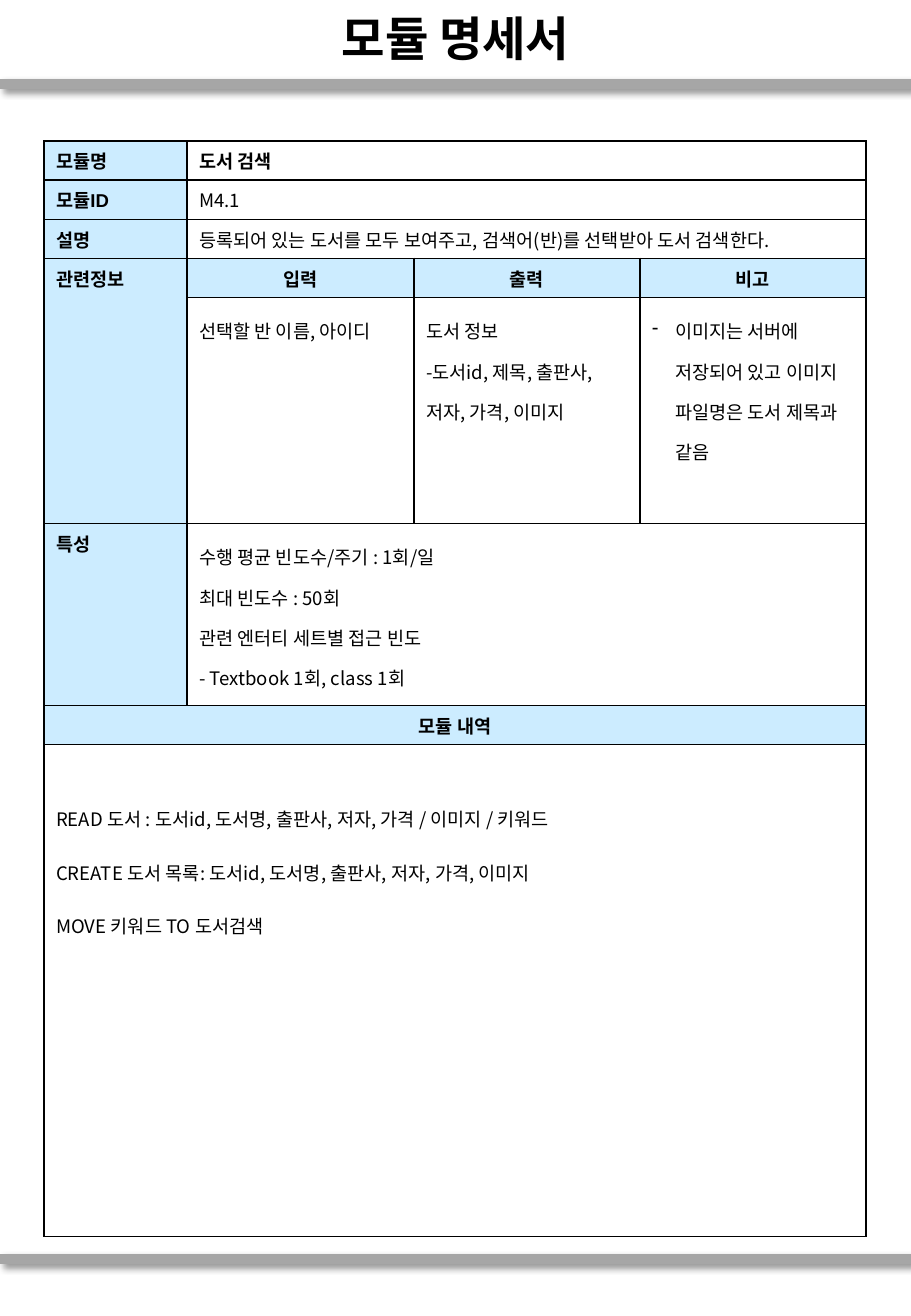
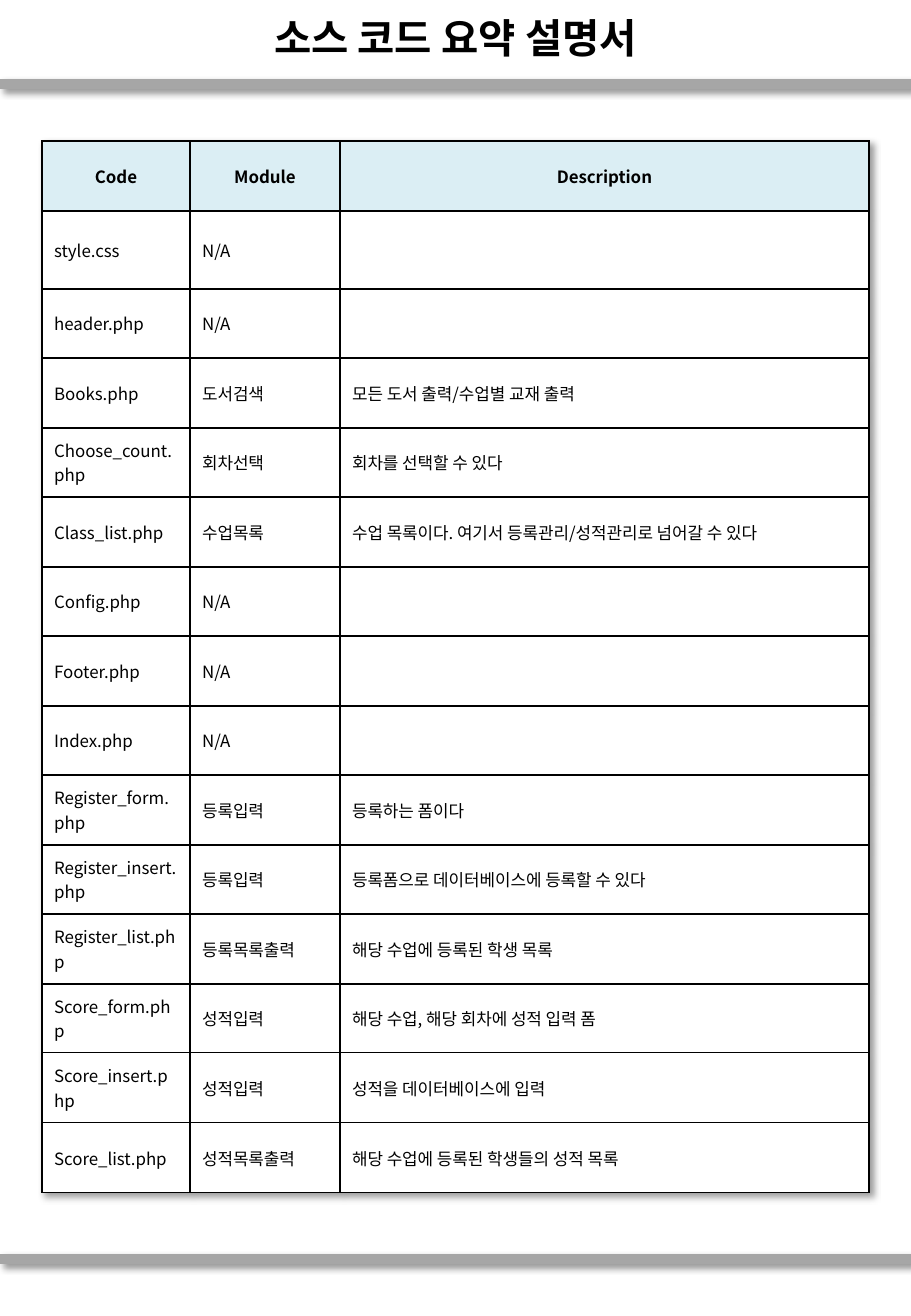
from dataclasses import dataclass

from lxml.etree import SubElement
from pptx import Presentation
from pptx.dml.color import RGBColor
from pptx.enum.shapes import MSO_CONNECTOR
from pptx.enum.text import MSO_ANCHOR, MSO_AUTO_SIZE, PP_ALIGN
from pptx.oxml.ns import qn
from pptx.util import Emu, Pt

PX_PER_INCH = 121.5
WIDTH, HEIGHT = 911, 1316


@dataclass(frozen=True)
class Theme:
    """Colours, fonts and type sizes of the documents."""
    ink: str = "000000"
    paper: str = "FFFFFF"
    band: str = "A6A6A6"
    label: str = "CCECFF"
    header: str = "DBEEF4"
    sans: str = "Arial"
    korean: str = "Noto Sans CJK KR"
    sheet_size: int = 11
    list_size: int = 10
    band_width: int = 6
    border_width: int = 1


THEME = Theme()

# row, column, rows spanned, columns spanned, text
LABELS = [
    (0, 0, 1, 1, "모듈명"),
    (1, 0, 1, 1, "모듈ID"),
    (2, 0, 1, 1, "설명"),
    (3, 0, 2, 1, "관련정보"),
    (5, 0, 1, 1, "특성"),
]
HEADINGS = [
    (3, 1, 1, 1, "입력"),
    (3, 2, 1, 1, "출력"),
    (3, 3, 1, 1, "비고"),
    (6, 0, 1, 4, "모듈 내역"),
]
NAME = [(0, 1, 1, 3, "도서 검색")]
FACTS = [
    (1, 1, 1, 3, "M4.1"),
    (2, 1, 1, 3, "등록되어 있는 도서를 모두 보여주고, 검색어(반)를 선택받아 도서 검색한다."),
]
DETAILS = [
    (4, 1, 1, 1, "선택할 반 이름, 아이디"),
    (4, 2, 1, 1, "도서 정보\n-도서id, 제목, 출판사, 저자, 가격, 이미지"),
    (5, 1, 1, 3, "수행 평균 빈도수/주기 : 1회/일\n최대 빈도수 : 50회\n"
                 "관련 엔터티 세트별 접근 빈도\n- Textbook 1회, class 1회"),
]
REMARKS = [(4, 3, 1, 1, "이미지는 서버에 저장되어 있고 이미지 파일명은 도서 제목과 같음")]
STEPS = [
    (7, 0, 1, 4, "READ 도서 : 도서id, 도서명, 출판사, 저자, 가격 / 이미지 / 키워드\n"
                 "CREATE 도서 목록: 도서id, 도서명, 출판사, 저자, 가격, 이미지\n"
                 "MOVE 키워드 TO 도서검색"),
]

SOURCE_FILES = [
    ("Code", "Module", "Description"),
    ("style.css", "N/A", ""),
    ("header.php", "N/A", ""),
    ("Books.php", "도서검색", "모든 도서 출력/수업별 교재 출력"),
    ("Choose_count.php", "회차선택", "회차를 선택할 수 있다"),
    ("Class_list.php", "수업목록", "수업 목록이다. 여기서 등록관리/성적관리로 넘어갈 수 있다"),
    ("Config.php", "N/A", ""),
    ("Footer.php", "N/A", ""),
    ("Index.php", "N/A", ""),
    ("Register_form.php", "등록입력", "등록하는 폼이다"),
    ("Register_insert.php", "등록입력", "등록폼으로 데이터베이스에 등록할 수 있다"),
    ("Register_list.php", "등록목록출력", "해당 수업에 등록된 학생 목록"),
    ("Score_form.php", "성적입력", "해당 수업, 해당 회차에 성적 입력 폼"),
    ("Score_insert.php", "성적입력", "성적을 데이터베이스에 입력"),
    ("Score_list.php", "성적목록출력", "해당 수업에 등록된 학생들의 성적 목록"),
]


def px(n):
    """Turn pixels into EMU."""
    return Emu(round(n * 914400 / PX_PER_INCH))


def rgb(color):
    """Turn a hex string into a colour."""
    return RGBColor.from_string(color)


def write(tf, text, size=THEME.sheet_size, font=THEME.korean, bold=False,
          align=PP_ALIGN.LEFT, spacing=None, bullet=None):
    """Fill a text frame, one paragraph for each line of text."""
    for i, line in enumerate(text.split("\n")):
        p = tf.add_paragraph() if i else tf.paragraphs[0]
        p.alignment = align
        if spacing:
            p.line_spacing = spacing
        if bullet:
            pPr = p._p.get_or_add_pPr()
            pPr.set("marL", str(px(23)))
            pPr.set("indent", str(-px(23)))
            SubElement(pPr, qn("a:buChar"), char=bullet)
        r = p.add_run()
        r.text = line
        r.font.size = Pt(size)
        r.font.bold = bold
        r.font.name = font
        r.font.color.rgb = rgb(THEME.ink)
        SubElement(r._r.get_or_add_rPr(), qn("a:ea"), typeface=THEME.korean)


def add_shadow(parent, position):
    """Insert a soft diagonal shadow among the children of parent."""
    effects = SubElement(parent, qn("a:effectLst"))
    shadow = SubElement(effects, qn("a:outerShdw"), blurRad=str(Pt(4)),
                        dist=str(Pt(3)), dir="2700000", algn="tl")
    color = SubElement(shadow, qn("a:srgbClr"), val=THEME.ink)
    SubElement(color, qn("a:alpha"), val="40000")
    parent.insert(position, effects)


def add_band(slide, y):
    """Draw a thick grey rule across the page."""
    band = slide.shapes.add_connector(MSO_CONNECTOR.STRAIGHT, 0, px(y), px(WIDTH), px(y))
    band.line.color.rgb = rgb(THEME.band)
    band.line.width = Pt(THEME.band_width)
    spPr = band.element.spPr
    add_shadow(spPr, len(spPr))
    return band


def set_up_layout(layout, slide):
    """Give the layout its title place and the two bands."""
    for holder in list(layout.placeholders):
        if holder.placeholder_format.idx:
            holder.element.getparent().remove(holder.element)
    title = layout.placeholders[0]
    title.left, title.top, title.width, title.height = 0, px(1), px(WIDTH), px(73)
    title.text_frame.vertical_anchor = MSO_ANCHOR.MIDDLE
    title.text_frame.auto_size = MSO_AUTO_SIZE.NONE
    for band in [add_band(slide, y) for y in (84, 1259)]:
        layout.shapes.element.append(band.element)


def add_title(slide, text, **fmt):
    """Write the page title."""
    write(slide.shapes.title.text_frame, text, bold=True, align=PP_ALIGN.CENTER, **fmt)


def paint(cell, fill):
    """Give a cell its black borders and its fill."""
    tcPr = cell._tc.get_or_add_tcPr()
    for side in ("a:lnL", "a:lnR", "a:lnT", "a:lnB"):
        ln = SubElement(tcPr, qn(side), w=str(Pt(THEME.border_width)))
        SubElement(SubElement(ln, qn("a:solidFill")), qn("a:srgbClr"), val=THEME.ink)
    cell.fill.solid()
    cell.fill.fore_color.rgb = rgb(fill)


def add_grid(slide, xs, ys):
    """Add a plain table whose grid lines lie at xs and ys."""
    frame = slide.shapes.add_table(len(ys) - 1, len(xs) - 1, px(xs[0]), px(ys[0]),
                                   px(xs[-1] - xs[0]), px(ys[-1] - ys[0]))
    table = frame.table
    table.first_row = table.horz_banding = False
    for column, left, right in zip(table.columns, xs, xs[1:]):
        column.width = px(right - left)
    for row, top, bottom in zip(table.rows, ys, ys[1:]):
        row.height = px(bottom - top)
    return table


def fill_cells(table, entries, fill=THEME.paper, **fmt):
    """Merge, paint and write cells that share one format."""
    for row, col, height, width, text in entries:
        cell = table.cell(row, col)
        if height * width > 1:
            cell.merge(table.cell(row + height - 1, col + width - 1))
        for r in range(row, row + height):
            for c in range(col, col + width):
                paint(table.cell(r, c), fill)
        write(cell.text_frame, text, **fmt)


def add_module_sheet(slide):
    """Add the form that specifies one module."""
    table = add_grid(slide, (44, 187, 414, 640, 866),
                     (141, 180, 219, 258, 297, 523, 705, 744, 1236))
    label = dict(fill=THEME.label, font=THEME.sans, bold=True)
    fill_cells(table, LABELS, **label)
    fill_cells(table, HEADINGS, align=PP_ALIGN.CENTER, **label)
    fill_cells(table, NAME, bold=True)
    fill_cells(table, FACTS)
    fill_cells(table, DETAILS, spacing=1.5)
    fill_cells(table, REMARKS, spacing=1.5, bullet="-")
    fill_cells(table, STEPS, spacing=2.0)
    table.cell(7, 0).margin_top = px(33)


def add_source_list(slide):
    """Add the table of source files."""
    body_rows = [289 + 904 * i // 13 for i in range(14)]
    table = add_grid(slide, (42, 190, 340, 869), (141, 211, *body_rows))
    add_shadow(table._tbl.tblPr, 0)
    for i, texts in enumerate(SOURCE_FILES):
        head = i == 0
        for j, text in enumerate(texts):
            cell = table.cell(i, j)
            paint(cell, THEME.paper if not head else THEME.header)
            cell.vertical_anchor = MSO_ANCHOR.MIDDLE
            if text:
                write(cell.text_frame, text, size=THEME.list_size, bold=head,
                      align=PP_ALIGN.CENTER if head else PP_ALIGN.LEFT)


def main():
    """Build and save the two pages."""
    prs = Presentation()
    prs.slide_width, prs.slide_height = px(WIDTH), px(HEIGHT)
    layout = prs.slide_layouts.get_by_name("Title Only")

    module_page = prs.slides.add_slide(layout)
    set_up_layout(layout, module_page)
    add_title(module_page, "모듈 명세서", size=28)
    add_module_sheet(module_page)

    source_page = prs.slides.add_slide(layout)
    add_title(source_page, "소스 코드 요약 설명서", size=24, font=THEME.sans)
    add_source_list(source_page)

    prs.save("out.pptx")


main()
